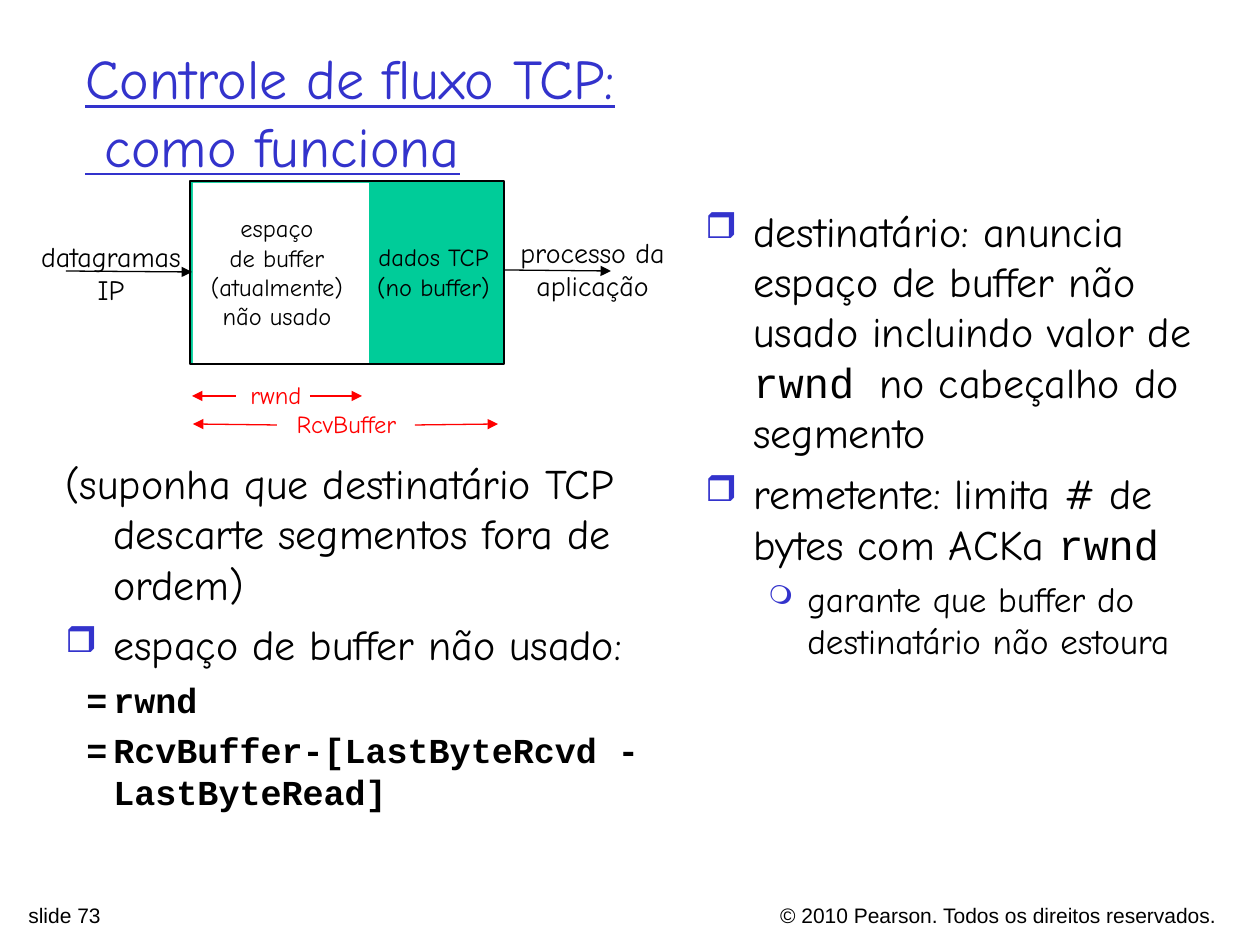
import pptx
import pptx.util
import pptx.dml.color
import pptx.enum.shapes
import pptx.enum.text
import pptx.oxml.ns
import lxml.etree

PX = 914400 / 126
BLACK, BLUE, RED, GREEN, WHITE = "000000", "3333CC", "FF0000", "00CC99", "FFFFFF"
HAND, CODE, SANS = "Comic Neue", "Courier New", "Arial"
ALIGN = pptx.enum.text.PP_ALIGN


def px(length):
    return pptx.util.Emu(round(length * PX))


def color(hex_code):
    return pptx.dml.color.RGBColor.from_string(hex_code)


def add_xml(parent, tag, **attributes):
    return lxml.etree.SubElement(parent, pptx.oxml.ns.qn(tag), attributes)


class FlowSlide:
    def __init__(self, slide):
        self.shapes = slide.shapes

    def box(self, x, y, width, height, fill, outline=None):
        area = self.shapes.add_shape(
            pptx.enum.shapes.MSO_SHAPE.RECTANGLE, px(x), px(y), px(width), px(height))
        area.shadow.inherit = False
        area.fill.solid()
        area.fill.fore_color.rgb = color(fill)
        if outline:
            area.line.color.rgb = color(outline)
            area.line.width = pptx.util.Pt(1.5)
        else:
            area.line.fill.background()

    def arrow(self, x1, y1, x2, y2, hue=BLACK):
        link = self.shapes.add_connector(
            pptx.enum.shapes.MSO_CONNECTOR.STRAIGHT, px(x1), px(y1), px(x2), px(y2))
        link.line.color.rgb = color(hue)
        link.line.width = pptx.util.Pt(0.75)
        add_xml(link.line._get_or_add_ln(), "a:tailEnd", type="triangle")
        add_xml(link._element.spPr, "a:effectLst")

    def frame(self, x, y, width, height, wrap=True):
        frame = self.shapes.add_textbox(px(x), px(y), px(width), px(height)).text_frame
        frame.word_wrap = wrap
        return frame

    def style(self, paragraph, size, hue=BLACK, font=HAND, **extras):
        paragraph.font.size = pptx.util.Pt(size)
        paragraph.font.color.rgb = color(hue)
        if font:
            paragraph.font.name = font
        for name, value in extras.items():
            setattr(paragraph.font, name, value)

    def label(self, x, y, width, height, lines, size, hue=BLACK, font=HAND,
              align=ALIGN.CENTER, wrap=False, **extras):
        frame = self.frame(x, y, width, height, wrap)
        frame.text = "\n".join(lines)
        for paragraph in frame.paragraphs:
            paragraph.alignment = align
            self.style(paragraph, size, hue, font, **extras)
        return frame

    def body(self, x, y, width, height, items):
        frame = self.frame(x, y, width, height)
        for index, item in enumerate(items):
            paragraph = frame.add_paragraph() if index else frame.paragraphs[0]
            self.item(paragraph, first=index == 0, **item)

    def item(self, paragraph, runs, first, size=24, margin=48, indent=-48, gap=6,
             bullet=None, bullet_size=85, tab=None, font=HAND, bold=None):
        properties = paragraph._p.get_or_add_pPr()
        properties.set("marL", str(px(margin)))
        properties.set("indent", str(px(indent)))
        if bullet:
            add_xml(add_xml(properties, "a:buClr"), "a:srgbClr", val=BLUE)
            add_xml(properties, "a:buSzPct", val=str(bullet_size * 1000))
            add_xml(properties, "a:buChar", char=bullet)
        else:
            add_xml(properties, "a:buNone")
        if tab:
            add_xml(add_xml(properties, "a:tabLst"), "a:tab", pos=str(px(tab)), algn="l")
        paragraph.space_before = pptx.util.Pt(0 if first else gap)
        mixed = len(runs) > 1
        self.style(paragraph, size, font=None if mixed else font, bold=bold)
        for words, face in runs:
            run = paragraph.add_run()
            run.text = words
            if mixed:
                run.font.name = face


def main():
    deck = pptx.Presentation()
    deck.slide_width, deck.slide_height = px(1260), px(945)
    page = FlowSlide(deck.slides.add_slide(deck.slide_layouts[6]))

    page.label(585, 896, 644, 30, ["© 2010 Pearson. Todos os direitos reservados."], 12,
               font=SANS, align=ALIGN.RIGHT, wrap=True)
    page.label(16, 896, 444, 30, ["slide 73"], 12, font=SANS, align=ALIGN.LEFT, wrap=True)
    title = page.label(73, 32, 1135, 158, ["Controle de fluxo TCP:\v como funciona"], 32,
                       BLUE, align=ALIGN.LEFT, wrap=True, underline=True)
    title.vertical_anchor = pptx.enum.text.MSO_ANCHOR.MIDDLE

    square = dict(bullet="❒")
    formula = dict(size=20, gap=5, indent=-27, tab=84, font=CODE, bold=True)
    page.body(53, 451, 635, 410, [
        dict(runs=[("(suponha que destinatário TCP descarte segmentos fora de ordem)", HAND)]),
        dict(runs=[("espaço de buffer não usado:", HAND)], **square),
        dict(runs=[("=\trwnd", CODE)], **formula),
        dict(runs=[("=\tRcvBuffer-[LastByteRcvd - LastByteRead]", CODE)], **formula),
    ])
    page.body(693, 199, 536, 640, [
        dict(runs=[("destinatário: anuncia espaço de buffer não usado incluindo valor de ", HAND),
                   ("rwnd ", CODE), ("no cabeçalho do segmento", HAND)], **square),
        dict(runs=[("remetente: limita # de bytes com ACKa ", HAND), ("rwnd", CODE)], **square),
        dict(runs=[("garante que buffer do destinatário não estoura", HAND)], size=20, gap=5,
             margin=102, indent=-39, bullet="❍", bullet_size=75),
    ])

    page.label(238, 374, 76, 43, ["rwnd"], 14, RED)
    page.arrow(310, 396, 362, 396, RED)
    page.arrow(236, 396, 192, 396, RED)
    page.label(284, 403, 125, 43, ["RcvBuffer"], 14, RED)
    page.arrow(415, 425, 498, 424, RED)
    page.arrow(277, 425, 193, 424, RED)

    page.box(190, 181, 314, 183, GREEN, BLACK)
    page.arrow(66, 271, 192, 272)
    page.label(28, 233, 166, 81, ["datagramas", "IP"], 16)
    page.box(193, 183, 176, 180, WHITE)
    page.label(364, 236, 139, 72, ["dados TCP", "(no buffer)"], 14)
    page.label(198, 207, 158, 131, ["espaço\vde buffer\v(atualmente)", "não usado"], 14)
    page.arrow(504, 270, 611, 271)
    page.label(494, 229, 197, 81, ["processo da", "aplicação"], 16, wrap=True)

    deck.save("out.pptx")


if __name__ == "__main__":
    main()
